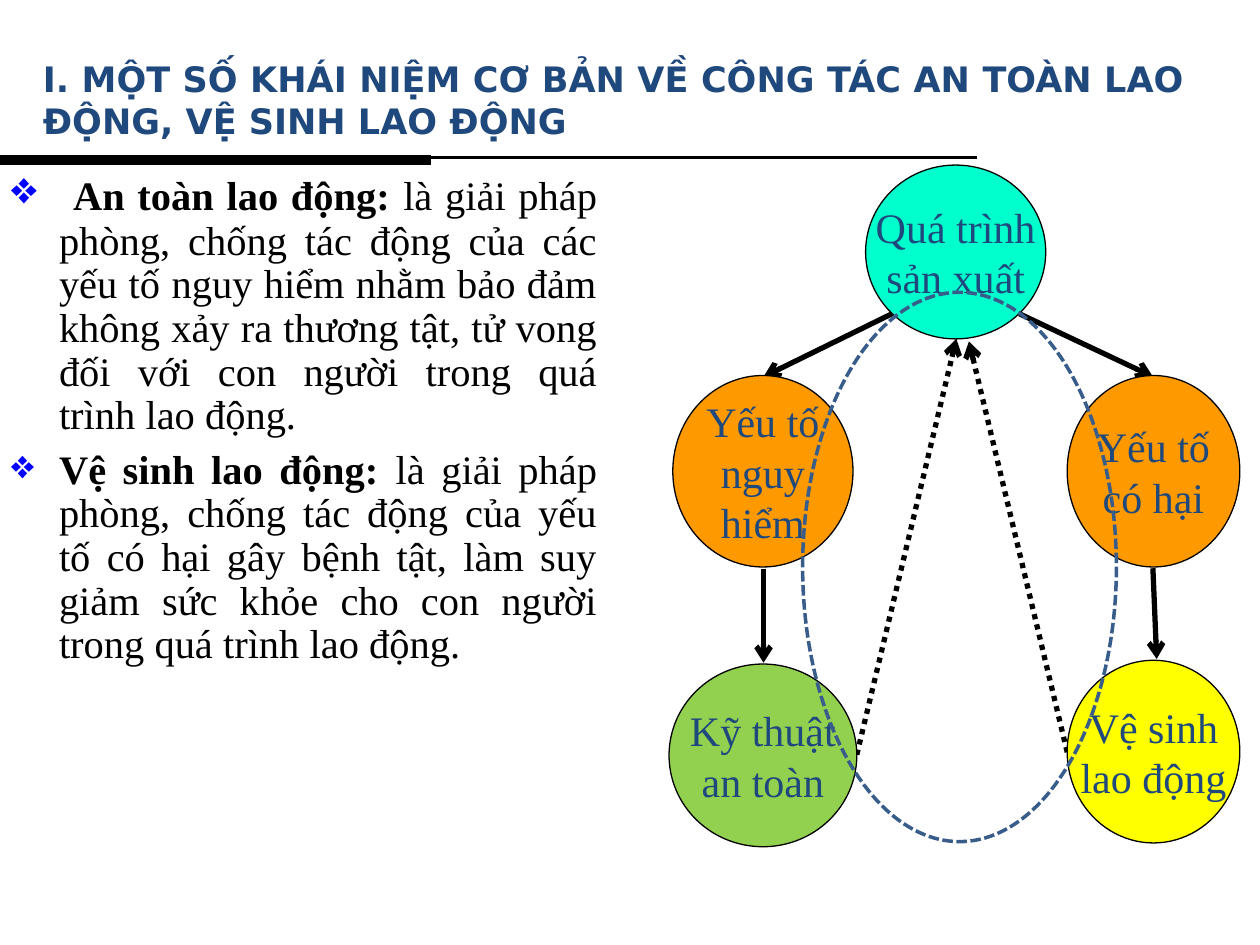
from lxml.etree import SubElement
from pptx import Presentation
from pptx.dml.color import RGBColor
from pptx.enum.dml import MSO_LINE
from pptx.enum.shapes import MSO_CONNECTOR, MSO_SHAPE
from pptx.enum.text import MSO_ANCHOR, MSO_AUTO_SIZE, PP_ALIGN
from pptx.oxml.ns import qn
from pptx.util import Inches, Pt

COLORS = {
    "black": "000000", "navy": "1F497D", "bullet": "0000FF", "outline": "385D8A",
    "aqua": "00FFCC", "orange": "FF9900", "green": "92D050", "yellow": "FFFF00",
}
SERIF = "Times New Roman"

TITLE = "I. MỘT SỐ KHÁI NIỆM CƠ BẢN VỀ CÔNG TÁC AN TOÀN LAO ĐỘNG, VỆ SINH LAO ĐỘNG"

# Each definition: runs of (text, bold, size)
DEFINITIONS = [
    [(" ", True, 25.9),
     ("An toàn lao động:", True, 23.1),
     (" là giải pháp phòng, chống tác động của các yếu tố nguy hiểm nhằm bảo đảm "
      "không xảy ra thương tật, tử vong đối với con người trong quá trình lao động. ",
      False, 23.1)],
    [("Vệ sinh lao động: ", True, 23.1),
     ("là giải pháp phòng, chống tác động của yếu tố có hại gây bệnh tật, làm suy "
      "giảm sức khỏe cho con người trong quá trình lao động.", False, 23.1)],
]

# Circles: lines of text, fill, (left, top, width, height)
CIRCLES = [
    (["Quá trình", "sản xuất"], "aqua", (6.87, 1.31, 1.43, 1.38)),
    (["Yếu tố", "nguy", "hiểm"], "orange", (5.34, 2.98, 1.43, 1.52)),
    (["Yếu tố", "có hại"], "orange", (8.47, 2.98, 1.37, 1.52)),
    (["Kỹ thuật", "an toàn"], "green", (5.31, 5.27, 1.49, 1.45)),
    (["Vệ sinh", "lao động"], "yellow", (8.47, 5.24, 1.37, 1.45)),
]
LOOP = (6.37, 2.32, 2.49, 4.36)

# Lines: (from x, from y, to x, to y)
RULES = [((7.75, 1.25, 0, 1.25), 1.5), ((0, 1.27, 3.42, 1.27), 6)]
SOLID_ARROWS = [
    (7.08, 2.49, 6.06, 2.99), (8.09, 2.49, 9.15, 2.99),
    (6.06, 4.52, 6.06, 5.26), (9.15, 4.51, 9.18, 5.23),
]
DOTTED_ARROWS = [(8.47, 5.97, 7.69, 2.71), (6.8, 5.99, 7.59, 2.69)]


def color(name):
    return RGBColor.from_string(COLORS[name])


def add_text(paragraph, text, size=24, font=SERIF, fill="navy", bold=False,
             align=PP_ALIGN.CENTER):
    paragraph.alignment = align
    run = paragraph.add_run()
    run.text = text
    run.font.size = Pt(size)
    run.font.name = font
    run.font.bold = bold
    run.font.color.rgb = color(fill)


def add_bullet(paragraph):
    properties = paragraph._p.get_or_add_pPr()
    properties.set("marL", str(Inches(0.38)))
    properties.set("indent", str(-Inches(0.38)))
    bullet_color = SubElement(properties, qn("a:buClr"))
    SubElement(bullet_color, qn("a:srgbClr"), val=COLORS["bullet"])
    SubElement(properties, qn("a:buChar"), char="❖")


def add_line(slide, points, width, dash=None, arrow=False):
    connector = slide.shapes.add_connector(
        MSO_CONNECTOR.STRAIGHT, *[Inches(value) for value in points])
    connector.line.color.rgb = color("black")
    connector.line.width = Pt(width)
    if dash:
        connector.line.dash_style = dash
    if arrow:
        SubElement(connector.line._get_or_add_ln(), qn("a:tailEnd"), type="arrow")
    SubElement(connector._element.spPr, qn("a:effectLst"))


def add_ellipse(slide, box, fill=None, line="black", width=0.75):
    shape = slide.shapes.add_shape(
        MSO_SHAPE.OVAL, *[Inches(value) for value in box])
    shape.shadow.inherit = False
    if fill:
        shape.fill.solid()
        shape.fill.fore_color.rgb = color(fill)
    else:
        shape.fill.background()
    shape.line.color.rgb = color(line)
    shape.line.width = Pt(width)
    return shape


def main():
    presentation = Presentation()
    presentation.slide_width, presentation.slide_height = Inches(10), Inches(7.5)
    slide = presentation.slides.add_slide(presentation.slide_layouts[5])

    # Title and the rules below it
    title = slide.shapes.title
    title.left, title.top = Inches(0.24), Inches(0.28)
    title.width, title.height = Inches(9.26), Inches(1.02)
    title.text_frame.auto_size = MSO_AUTO_SIZE.NONE
    title.text_frame.vertical_anchor = MSO_ANCHOR.MIDDLE
    add_text(title.text_frame.paragraphs[0], TITLE, size=20, font="DejaVu Sans",
             bold=True, align=PP_ALIGN.JUSTIFY)
    for points, width in RULES:
        add_line(slide, points, width)

    # Arrows, then circles with their labels
    for points in SOLID_ARROWS:
        add_line(slide, points, 3, arrow=True)
    for points in DOTTED_ARROWS:
        add_line(slide, points, 3, dash=MSO_LINE.ROUND_DOT, arrow=True)
    for lines, fill, box in CIRCLES:
        frame = add_ellipse(slide, box, fill).text_frame
        frame.word_wrap = False
        frame.vertical_anchor = MSO_ANCHOR.MIDDLE
        for index, text in enumerate(lines):
            paragraph = frame.add_paragraph() if index else frame.paragraphs[0]
            add_text(paragraph, text)

    # Dashed loop over the diagram
    loop = add_ellipse(slide, LOOP, line="outline", width=2)
    loop.line.dash_style = MSO_LINE.SQUARE_DOT
    loop.line._get_or_add_ln().find(qn("a:prstDash")).set("val", "sysDash")

    # Definitions
    frame = slide.shapes.add_textbox(
        Inches(-0.01), Inches(1.31), Inches(4.85), Inches(5.52)).text_frame
    frame.word_wrap = True
    for index, runs in enumerate(DEFINITIONS):
        paragraph = frame.add_paragraph() if index else frame.paragraphs[0]
        add_bullet(paragraph)
        paragraph.line_spacing = 0.9
        if index:
            paragraph.space_before = Pt(6.2)
        for text, bold, size in runs:
            add_text(paragraph, text, size=size, fill="black", bold=bold,
                     align=PP_ALIGN.JUSTIFY)

    presentation.save("out.pptx")


if __name__ == "__main__":
    main()
